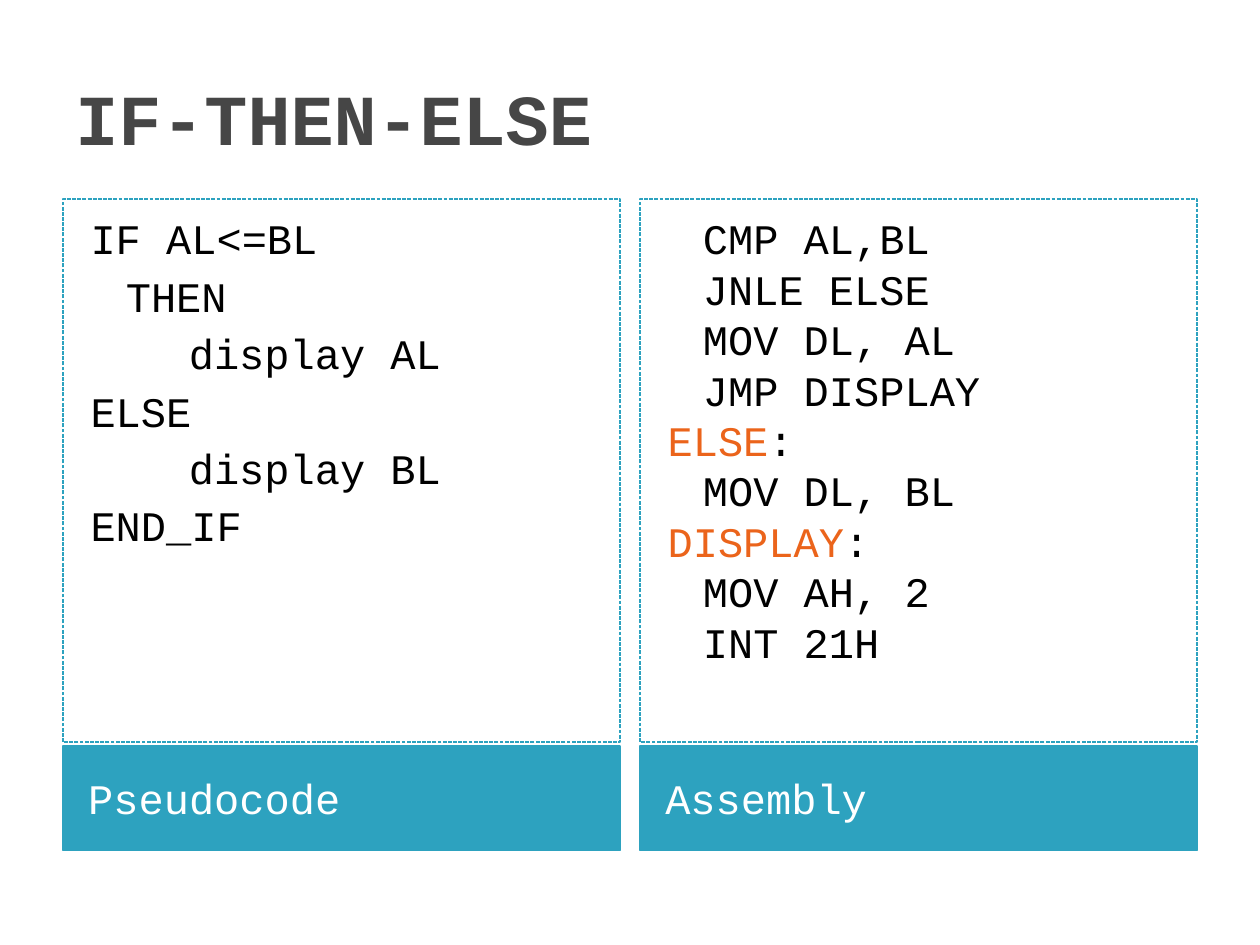
from dataclasses import dataclass

from pptx import Presentation
from pptx import util as u
from pptx.dml.color import RGBColor
from pptx.enum import dml, shapes, text

FONT = "Courier New"
TEAL = "2DA2BF"
ORANGE = "EB641B"
BLACK = "000000"
WHITE = "FFFFFF"
GREY = "464646"


@dataclass
class Panel:
    caption: str
    lines: list[str]
    gap: float


PANELS = [
    Panel("Pseudocode", ["IF AL<=BL", "\tTHEN", "\t\tdisplay AL", "ELSE",
                         "\t\tdisplay BL", "END_IF"], 4),
    Panel("Assembly", ["\tCMP AL,BL", "\tJNLE ELSE", "\tMOV DL, AL",
                       "\tJMP DISPLAY", "ELSE:", "\tMOV DL, BL", "DISPLAY:",
                       "\tMOV AH, 2", "\tINT 21H"], 0),
]

MARGIN, WIDTH, GUTTER = 0.5, 4.42, 0.16
CODE_TOP, CODE_HEIGHT = 1.58, 4.31
CAPTION_TOP, CAPTION_HEIGHT = 5.92, 0.83


def color(value: str) -> RGBColor:
    return RGBColor.from_string(value)


def style(run, size: float, value: str, bold: bool = False) -> None:
    run.font.name = FONT
    run.font.size = u.Pt(size)
    run.font.bold = bold
    run.font.color.rgb = color(value)


def add_box(slide, left: float, top: float, height: float):
    shape = slide.shapes.add_shape(
        shapes.MSO_SHAPE.RECTANGLE, u.Inches(left), u.Inches(top),
        u.Inches(WIDTH), u.Inches(height))
    shape.shadow.inherit = False
    shape.line.color.rgb = color(TEAL)
    shape.line.width = u.Pt(0.75)
    shape.text_frame.word_wrap = True
    return shape


def add_title(slide, title: str) -> None:
    shape = slide.shapes.add_textbox(
        u.Inches(MARGIN), u.Inches(0.3), u.Inches(9), u.Inches(1.25))
    frame = shape.text_frame
    frame.word_wrap = True
    frame.vertical_anchor = text.MSO_ANCHOR.MIDDLE
    frame.text = title
    style(frame.paragraphs[0].runs[0], 41, GREY, True)


def add_caption(slide, left: float, caption: str) -> None:
    shape = add_box(slide, left, CAPTION_TOP, CAPTION_HEIGHT)
    shape.fill.solid()
    shape.fill.fore_color.rgb = color(TEAL)
    frame = shape.text_frame
    frame.margin_left = u.Inches(0.2)
    frame.vertical_anchor = text.MSO_ANCHOR.MIDDLE
    frame.text = caption
    paragraph = frame.paragraphs[0]
    paragraph.alignment = text.PP_ALIGN.LEFT
    style(paragraph.runs[0], 24, WHITE)


def add_code(slide, left: float, panel: Panel) -> None:
    shape = add_box(slide, left, CODE_TOP, CODE_HEIGHT)
    shape.fill.background()
    shape.line.dash_style = dml.MSO_LINE.SQUARE_DOT
    frame = shape.text_frame
    frame.margin_top = u.Inches(0.11)
    frame.vertical_anchor = text.MSO_ANCHOR.TOP
    frame.text = "\n".join(panel.lines)
    for index, paragraph in enumerate(frame.paragraphs):
        paragraph.alignment = text.PP_ALIGN.LEFT
        paragraph.line_spacing = u.Pt(28.8)
        paragraph.space_before = u.Pt(panel.gap if index else 0)
        properties = paragraph._p.get_or_add_pPr()
        properties.set("marL", str(u.Inches(0.4)))
        properties.set("indent", str(u.Inches(-0.28)))
        run = paragraph.runs[0]
        if run.text.endswith(":"):
            run.text = run.text[:-1]
            style(run, 24, ORANGE)
            run = paragraph.add_run()
            run.text = ":"
        style(run, 24, BLACK)


presentation = Presentation()
presentation.slide_width = u.Inches(10)
presentation.slide_height = u.Inches(7.5)
slide = presentation.slides.add_slide(presentation.slide_layouts[6])

add_title(slide, "IF-THEN-ELSE")
for column, panel in enumerate(PANELS):
    left = MARGIN + column * (WIDTH + GUTTER)
    add_caption(slide, left, panel.caption)
    add_code(slide, left, panel)

presentation.save("out.pptx")
